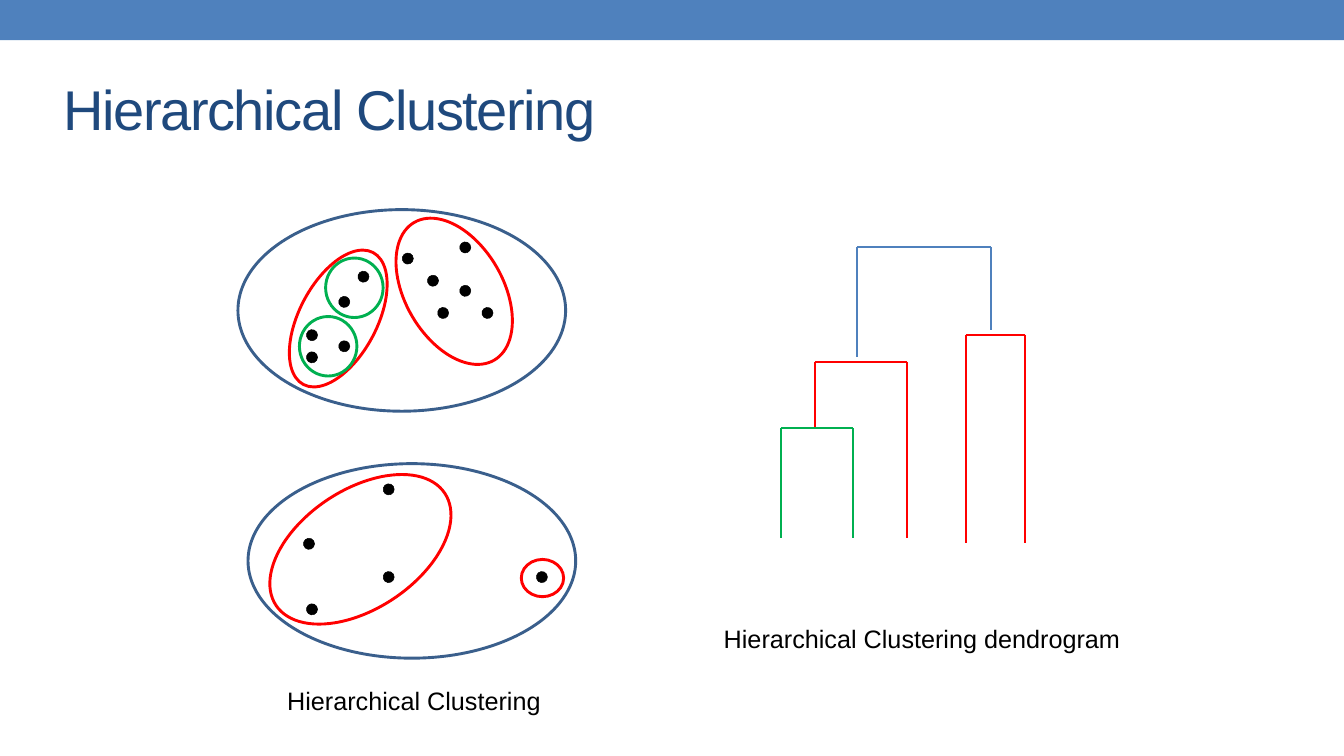
import math
from dataclasses import dataclass

import lxml.etree
import pptx
import pptx.dml.color
import pptx.enum.shapes
import pptx.enum.text
import pptx.oxml.ns
import pptx.util

PX = 9144  # 100 px to the inch
DOT_SIZE = 11
DOT_SIDES = 11


@dataclass(frozen=True)
class Theme:
    font: str = "Arial"
    band: str = "4F81BD"
    title: str = "1F497D"
    text: str = "000000"
    outer: str = "3A5F8C"
    root: str = "4F81BD"
    middle: str = "FF0000"
    inner: str = "00B050"
    title_size: int = 40
    caption_size: int = 18
    outline: float = 2.08
    branch: float = 1.5
    dot_line: float = 0.38


THEME = Theme()

# Ellipses: left, top, width, height, rotation, colour. Dots: left, top.
UPPER_ELLIPSES = [
    (0, 0, 325, 200, 0, THEME.outer),
    (61, 34, 77, 148, 27.8, THEME.middle),
    (166, 2, 97, 158, -30.1, THEME.middle),
    (61, 106, 57, 59, 0, THEME.inner),
    (87, 48, 57, 59, 0, THEME.inner),
]
UPPER_DOTS = [(68, 119), (68, 141), (100, 130), (100, 86), (119, 61), (163, 43),
              (188, 65), (198, 97), (242, 97), (220, 75), (220, 32)]
LOWER_ELLIPSES = [
    (0, 0, 325, 193, 0, THEME.outer),
    (271, 95, 42, 37, 0, THEME.middle),
    (11, 26, 201, 118, -33.6, THEME.middle),
]
LOWER_DOTS = [(134, 107), (134, 20), (286, 107), (55, 74), (58, 139)]

# Left, right, top, left foot, right foot, colour.
BRACKETS = [
    (75, 208, 0, 109, 82, THEME.root),
    (33, 125, 114, 180, 289, THEME.middle),
    (183, 242, 87, 294, 294, THEME.middle),
    (0, 71, 180, 289, 289, THEME.inner),
]


def px(*lengths):
    return [pptx.util.Emu(round(length * PX)) for length in lengths]


def rgb(value):
    return pptx.dml.color.RGBColor.from_string(value)


def fill_solid(shape, color):
    shape.shadow.inherit = False
    shape.fill.solid()
    shape.fill.fore_color.rgb = rgb(color)


def set_line(shape, color, width):
    shape.line.color.rgb = rgb(color)
    shape.line.width = pptx.util.Pt(width)


def add_text(slide, box, text, size, color, wrap=True):
    shape = slide.shapes.add_textbox(*px(*box))
    frame = shape.text_frame
    frame.text = text
    frame.word_wrap = wrap
    font = frame.paragraphs[0].runs[0].font
    font.name = THEME.font
    font.size = pptx.util.Pt(size)
    font.color.rgb = rgb(color)
    return frame


def add_band(slide, box):
    band = slide.shapes.add_shape(pptx.enum.shapes.MSO_SHAPE.RECTANGLE, *px(*box))
    fill_solid(band, THEME.band)
    band.line.fill.background()


def add_title(slide, box, text):
    frame = add_text(slide, box, text, THEME.title_size, THEME.title)
    frame.vertical_anchor = pptx.enum.text.MSO_ANCHOR.MIDDLE
    # Letter spacing, in hundredths of a point
    frame.paragraphs[0].runs[0].font._element.set("spc", "-100")


def add_dot(slide, left, top):
    """Draw a small regular polygon in a square at left, top."""
    radius = DOT_SIZE / 2
    angles = [2 * math.pi * side / DOT_SIDES for side in range(DOT_SIDES)]
    points = [px(left + radius + radius * math.cos(angle),
                 top + radius + radius * math.sin(angle)) for angle in angles]
    builder = slide.shapes.build_freeform(*points[0])
    builder.add_line_segments(points[1:], close=True)
    dot = builder.convert_to_shape()
    fill_solid(dot, THEME.text)
    set_line(dot, THEME.text, THEME.dot_line)


def add_cluster(slide, origin, ellipses, dots):
    x, y = origin
    for left, top in dots:
        add_dot(slide, x + left, y + top)
    for left, top, width, height, rotation, color in ellipses:
        ellipse = slide.shapes.add_shape(
            pptx.enum.shapes.MSO_SHAPE.OVAL, *px(x + left, y + top, width, height))
        ellipse.shadow.inherit = False
        ellipse.fill.background()
        set_line(ellipse, color, THEME.outline)
        ellipse.rotation = rotation


def add_branch(slide, start, end, color):
    connector = slide.shapes.add_connector(
        pptx.enum.shapes.MSO_CONNECTOR.STRAIGHT, *px(*start, *end))
    set_line(connector, color, THEME.branch)
    lxml.etree.SubElement(connector._element.spPr, pptx.oxml.ns.qn("a:effectLst"))


def add_dendrogram(slide, origin, brackets):
    x, y = origin
    for left, right, top, left_foot, right_foot, color in brackets:
        left_corner, right_corner = (x + left, y + top), (x + right, y + top)
        add_branch(slide, left_corner, right_corner, color)
        add_branch(slide, left_corner, (x + left, y + left_foot), color)
        add_branch(slide, right_corner, (x + right, y + right_foot), color)


def main():
    presentation = pptx.Presentation()
    presentation.slide_width, presentation.slide_height = px(1333, 750)
    slide = presentation.slides.add_slide(presentation.slide_layouts[6])
    add_band(slide, (0, 0, 1333, 40))
    add_title(slide, (53, 45, 906, 125), "Hierarchical Clustering")
    add_cluster(slide, (236, 208), UPPER_ELLIPSES, UPPER_DOTS)
    add_cluster(slide, (246, 460), LOWER_ELLIPSES, LOWER_DOTS)
    add_text(slide, (275, 675, 297, 40), "Hierarchical Clustering",
             THEME.caption_size, THEME.text)
    add_dendrogram(slide, (775, 245), BRACKETS)
    add_text(slide, (708, 613, 417, 40), "Hierarchical Clustering dendrogram",
             THEME.caption_size, THEME.text, wrap=False)
    presentation.save("out.pptx")


if __name__ == "__main__":
    main()
